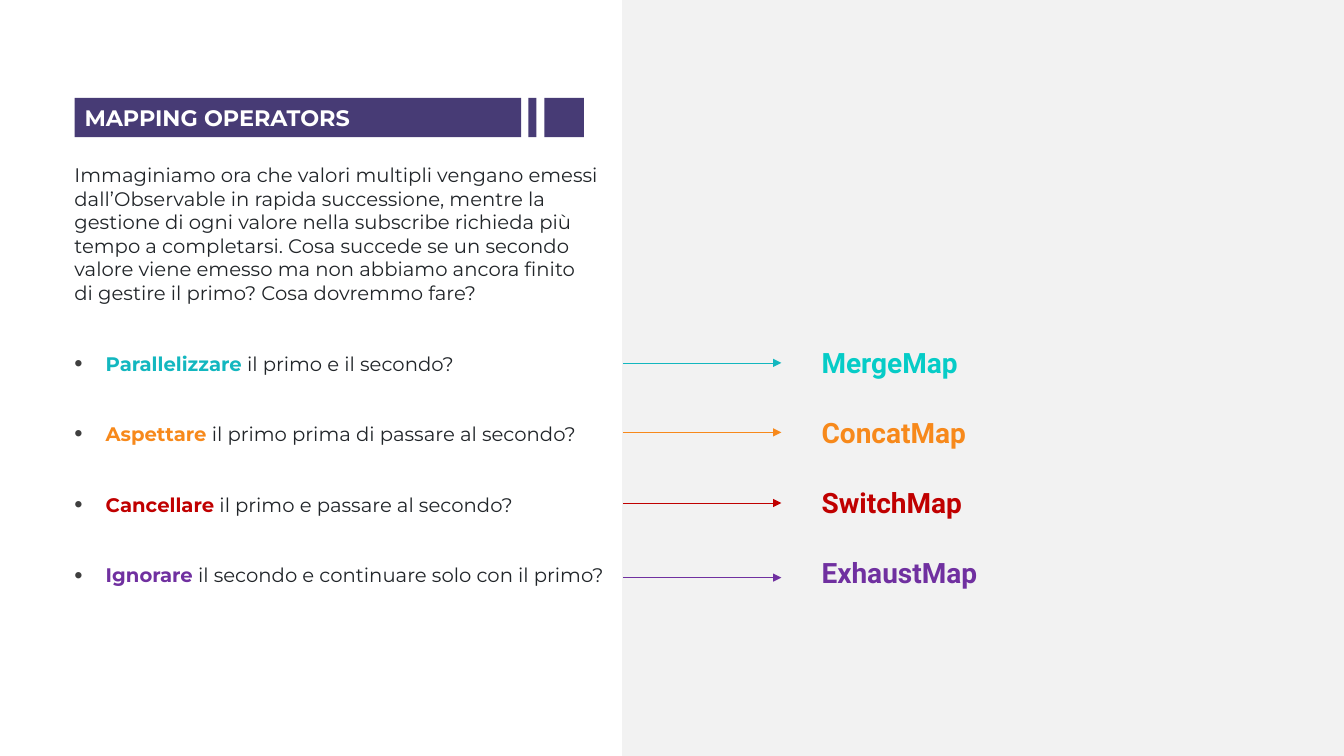
import pptx
import pptx.util
import pptx.dml.color
import pptx.enum.shapes
import pptx.enum.text
import pptx.oxml
import pptx.oxml.ns

Inches = pptx.util.Inches
Pt = pptx.util.Pt
SPACE = pptx.oxml.ns.nsdecls("a")


def paint(color, tone):
    color.rgb = pptx.dml.color.RGBColor.from_string(tone)


def write(para, text, font, size, tone, bold=False):
    run = para.add_run()
    run.text = text
    run.font.name = font
    run.font.size = Pt(size)
    run.font.bold = bold
    paint(run.font.color, tone)


deck = pptx.Presentation()
deck.slide_width = Inches(13.33)
deck.slide_height = Inches(7.5)
slide = deck.slides.add_slide(deck.slide_layouts[6])

for left, top, width, height, tone in [
    (5.4, 0.97, 0.39, 0.39, "473B75"),
    (5.24, 0.97, 0.08, 0.39, "473B75"),
    (6.17, 0, 7.16, 7.5, "F2F2F2"),
    (0.74, 0.97, 4.43, 0.39, "473B75"),
]:
    block = slide.shapes.add_shape(
        pptx.enum.shapes.MSO_SHAPE.RECTANGLE,
        Inches(left), Inches(top), Inches(width), Inches(height))
    block.shadow.inherit = False
    block.fill.solid()
    paint(block.fill.fore_color, tone)
    block.line.fill.background()

title = block.text_frame
title.vertical_anchor = pptx.enum.text.MSO_ANCHOR.MIDDLE
para = title.paragraphs[0]
para.alignment = pptx.enum.text.PP_ALIGN.LEFT
write(para, "MAPPING OPERATORS", "Montserrat", 16, "FFFFFF", True)

body = slide.shapes.add_textbox(
    Inches(0.64), Inches(1.57), Inches(5.54), Inches(5.44)).text_frame
body.word_wrap = True
intro = [
    "Immaginiamo ora che valori multipli vengano emessi dall’Observable "
    "in rapida successione, mentre la gestione di ogni valore nella "
    "subscribe richieda più tempo a completarsi. Cosa succede se un secondo "
    "valore viene emesso ma non abbiamo ancora finito",
    "di gestire il primo? Cosa dovremmo fare?",
]
for index, text in enumerate(intro):
    para = body.add_paragraph() if index else body.paragraphs[0]
    para.line_spacing = Pt(16.8)
    write(para, text, "Montserrat", 14, "212529")

cases = [
    ("Parallelizzare", " il primo e il secondo?", "13B7BF",
     3.6, "MergeMap", "06CCC7", 1.57),
    ("Aspettare", " il primo prima di passare al secondo?", "F7891B",
     4.29, "ConcatMap", "F7891B", 1.65),
    ("Cancellare", " il primo e passare al secondo?", "C00000",
     4.99, "SwitchMap", "C00000", 1.61),
    ("Ignorare", " il secondo e continuare solo con il primo?", "7030A0",
     5.73, "ExhaustMap", "7030A0", 1.76),
]
for index, (verb, rest, tone, level, name, shade, width) in enumerate(cases):
    para = body.add_paragraph()
    para.line_spacing = Pt(16.8)
    para.space_before = Pt(33.6)
    props = para._p.get_or_add_pPr()
    props.set("marL", str(Inches(0.31)))
    props.set("indent", str(Inches(-0.31)))
    for mark in [
        f'<a:buClr {SPACE}><a:srgbClr val="3F3F3F"/></a:buClr>',
        f'<a:buSzPct {SPACE} val="120000"/>',
        f'<a:buFont {SPACE} typeface="Arial"/>',
        f'<a:buChar {SPACE} char="•"/>',
    ]:
        props.append(pptx.oxml.parse_xml(mark))
    write(para, verb, "Montserrat", 14, tone, True)
    write(para, rest, "Montserrat", 14, "212529")

    arrow = slide.shapes.add_connector(
        pptx.enum.shapes.MSO_CONNECTOR.STRAIGHT,
        Inches(6.18), Inches(level), Inches(7.75), Inches(level))
    arrow.line.width = Pt(0.5)
    paint(arrow.line.color, tone)
    arrow.line._get_or_add_ln().append(
        pptx.oxml.parse_xml(f'<a:tailEnd {SPACE} type="triangle"/>'))
    arrow._element.spPr.append(
        pptx.oxml.parse_xml(f'<a:effectLst {SPACE}/>'))

    label = slide.shapes.add_textbox(
        Inches(8.05), Inches(3.38 + 0.693 * index),
        Inches(width), Inches(0.44)).text_frame
    label.word_wrap = False
    label.auto_size = pptx.enum.text.MSO_AUTO_SIZE.SHAPE_TO_FIT_TEXT
    write(label.paragraphs[0], name, "Roboto", 20, shade, True)

deck.save("out.pptx")
